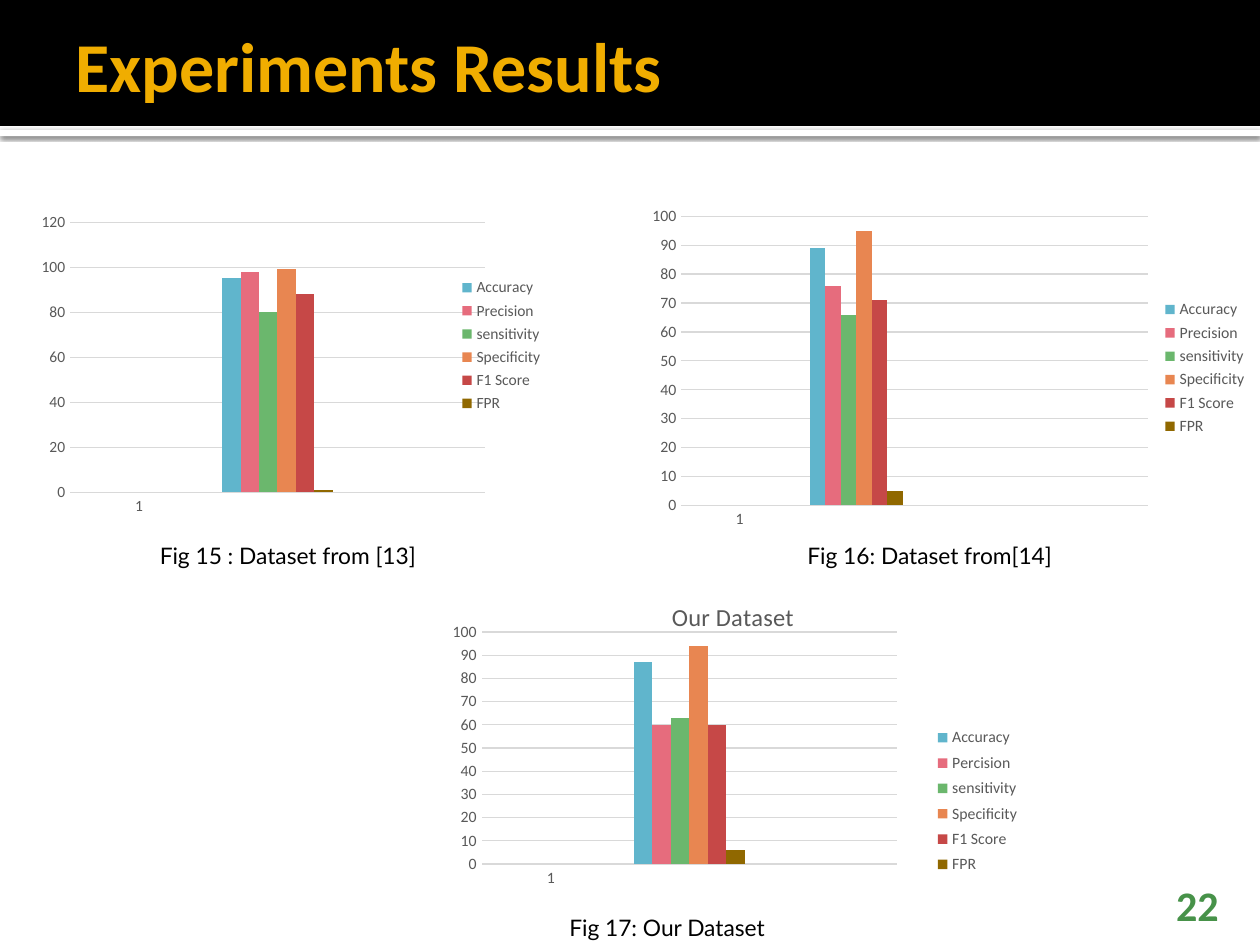
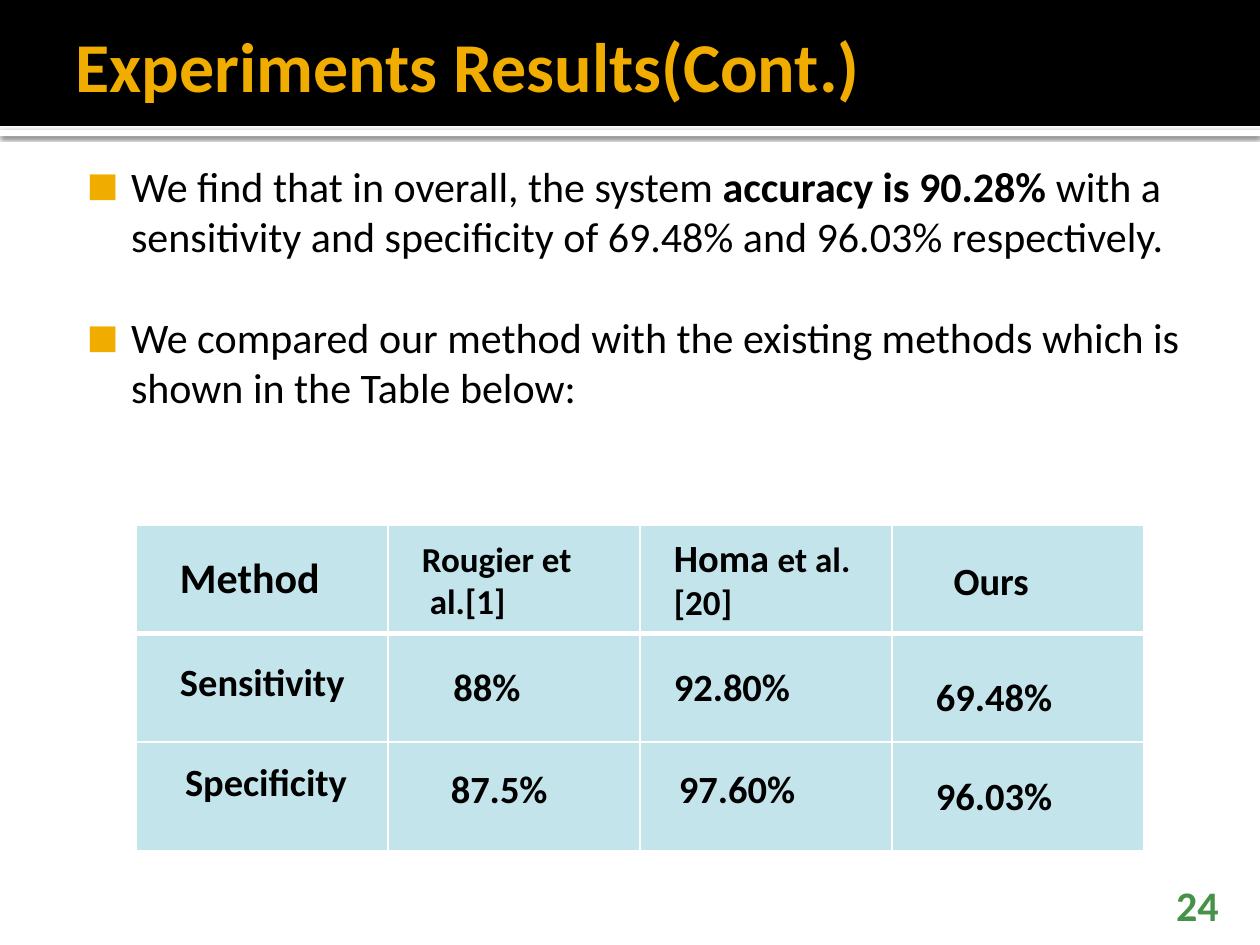
"""Build two slides of experiment results: three column charts and a comparison table."""
import pptx
import pptx.chart.data
import pptx.dml.color
import pptx.enum.chart
import pptx.enum.shapes
import pptx.enum.text
import pptx.oxml
import pptx.oxml.ns
import pptx.util

Inches = pptx.util.Inches
Pt = pptx.util.Pt
RGBColor = pptx.dml.color.RGBColor
qn = pptx.oxml.ns.qn
NAMESPACES = pptx.oxml.ns.nsdecls("a", "c")
ALIGN = pptx.enum.text.PP_ALIGN
ANCHOR = pptx.enum.text.MSO_ANCHOR

BLACK = RGBColor(0x00, 0x00, 0x00)
WHITE = RGBColor(0xFF, 0xFF, 0xFF)
GOLD = RGBColor(0xF0, 0xAD, 0x00)
GREEN = RGBColor(0x47, 0x92, 0x49)
AXIS_GRAY = RGBColor(0x59, 0x59, 0x59)
GRID_GRAY = RGBColor(0xD9, 0xD9, 0xD9)
CELL_BLUE = RGBColor(0xA0, 0xD3, 0xE0)
SERIES_COLORS = [
    RGBColor(0x60, 0xB5, 0xCC), RGBColor(0xE6, 0x6C, 0x7D), RGBColor(0x6B, 0xB7, 0x6D),
    RGBColor(0xE8, 0x86, 0x51), RGBColor(0xC6, 0x48, 0x47), RGBColor(0x90, 0x68, 0x00),
]


def write_runs(paragraph, runs, color, font="Calibri"):
    """Add (text, size, bold) runs to a paragraph."""
    for text, size, bold in runs:
        run = paragraph.add_run()
        run.text = text
        run.font.name = font
        run.font.size = Pt(size)
        run.font.bold = bold
        run.font.color.rgb = color


def set_chart_layout(element, index, target="", **fractions):
    """Place a chart part by fractions of the chart area."""
    for layout in element.findall(qn("c:layout")):
        element.remove(layout)
    modes = '<c:xMode val="edge"/><c:yMode val="edge"/>'
    values = "".join(f'<c:{name} val="{value}"/>' for name, value in fractions.items())
    element.insert(index, pptx.oxml.parse_xml(
        f"<c:layout {NAMESPACES}><c:manualLayout>{target}{modes}{values}"
        "</c:manualLayout></c:layout>"))


presentation = pptx.Presentation()
presentation.slide_width = Inches(10)
presentation.slide_height = Inches(7.5)
chart_slide = presentation.slides.add_slide(presentation.slide_layouts[5])
table_slide = presentation.slides.add_slide(presentation.slide_layouts[1])

master_tree = presentation.slide_master.shapes.element
for index, (top, height, color) in enumerate([(1.03, 0.05, WHITE), (0, 1, BLACK)]):
    band = chart_slide.shapes.add_shape(
        pptx.enum.shapes.MSO_SHAPE.RECTANGLE, 0, Inches(top), Inches(10), Inches(height))
    band.shadow.inherit = False
    band.fill.solid()
    band.fill.fore_color.rgb = color
    band.line.fill.background()
    if color == WHITE:
        band.element.spPr.find(qn("a:effectLst")).append(pptx.oxml.parse_xml(
            f'<a:outerShdw {NAMESPACES} blurRad="{Pt(2.5)}" dist="{Pt(0.8)}" dir="5400000">'
            '<a:srgbClr val="000000"><a:alpha val="60000"/></a:srgbClr></a:outerShdw>'))
    master_tree.insert(2 + index, band.element)

for slide, title_text, number in [
    (chart_slide, "Experiments Results", "22"),
    (table_slide, "Experiments Results(Cont.)", "24"),
]:
    title = slide.shapes.title
    title.left, title.top = Inches(0.5), Inches(0.08)
    title.width, title.height = Inches(9), Inches(0.87)
    frame = title.text_frame
    frame.auto_size = pptx.enum.text.MSO_AUTO_SIZE.NONE
    frame.vertical_anchor = ANCHOR.MIDDLE
    frame.margin_right = Inches(0.05)
    frame.paragraphs[0].alignment = ALIGN.LEFT
    write_runs(frame.paragraphs[0], [(title_text, 40, True)], GOLD)

    number_box = slide.shapes.add_textbox(Inches(8.97), Inches(7.08), Inches(0.8), Inches(0.3))
    frame = number_box.text_frame
    frame.word_wrap = True
    frame.vertical_anchor = ANCHOR.BOTTOM
    frame.margin_bottom = 0
    frame.paragraphs[0].alignment = ALIGN.RIGHT
    write_runs(frame.paragraphs[0], [(number, 24, True)], GREEN)

charts = []
for box, category_count, axis_max, axis_step, precision_name, values in [
    ((0.33, 1.42, 4.08, 2.67), 3, 120, 20, "Precision", (95, 98, 80, 99, 88, 1)),
    ((5.08, 1.59, 4.92, 2.66), 4, 100, 10, "Precision", (89, 76, 66, 95, 71, 5)),
    ((3.33, 4.57, 4.92, 2.63), 3, 100, 10, "Percision", (87, 60, 63, 94, 60, 6)),
]:
    chart_data = pptx.chart.data.CategoryChartData()
    chart_data.categories = ["1"] + [""] * (category_count - 1)
    names = ["Accuracy", precision_name, "sensitivity", "Specificity", "F1 Score", "FPR"]
    for name, value in zip(names, values):
        chart_data.add_series(name, [None, value] + [None] * (category_count - 2))
    chart = chart_slide.shapes.add_chart(
        pptx.enum.chart.XL_CHART_TYPE.COLUMN_CLUSTERED,
        *[Inches(length) for length in box], chart_data).chart
    charts.append(chart)
    chart.has_title = False
    chart.font.name = "Calibri"
    chart.font.size = Pt(9)
    chart.font.color.rgb = AXIS_GRAY
    chart.has_legend = True
    chart.legend.position = pptx.enum.chart.XL_LEGEND_POSITION.RIGHT
    chart.legend.include_in_layout = False
    chart.plots[0].gap_width = 150
    chart.plots[0].vary_by_categories = False
    for series, color in zip(chart.plots[0].series, SERIES_COLORS):
        series.format.fill.solid()
        series.format.fill.fore_color.rgb = color
    for axis in (chart.category_axis, chart.value_axis):
        axis.major_tick_mark = pptx.enum.chart.XL_TICK_MARK.NONE
        axis.minor_tick_mark = pptx.enum.chart.XL_TICK_MARK.NONE
        axis.format.line.fill.background()
    chart.value_axis.minimum_scale = 0
    chart.value_axis.maximum_scale = axis_max
    chart.value_axis.major_unit = axis_step
    gridline = chart.value_axis.major_gridlines.format.line
    gridline.color.rgb = GRID_GRAY
    gridline.width = Pt(0.75)

inner = '<c:layoutTarget val="inner"/>'
first_chart, own_chart = charts[0], charts[2]
set_chart_layout(first_chart.plots[0]._element.getparent(), 0, inner, x=0.04, y=0.13, w=0.82, h=0.81)
set_chart_layout(own_chart.plots[0]._element.getparent(), 0, inner, x=0.1, y=0.17, w=0.67, h=0.7)
set_chart_layout(own_chart.legend._element, 1, x=0.82, y=0.44, w=0.16, h=0.48)
own_chart.has_title = True
write_runs(own_chart.chart_title.text_frame.paragraphs[0], [("Our Dataset", 14, False)], AXIS_GRAY)
set_chart_layout(own_chart.chart_title._element, 1, x=0.4, y=0.06)

body = table_slide.placeholders[1]
body.left, body.top, body.width, body.height = Inches(0.5), Inches(1.17), Inches(9), Inches(6)
frame = body.text_frame
frame.auto_size = pptx.enum.text.MSO_AUTO_SIZE.NONE
frame.margin_left, frame.margin_top = Inches(0.06), Inches(0.1)
frame.margin_right, frame.margin_bottom = Inches(0.1), Inches(0.05)
findings = [
    [("We find that in overall, the system ", 24, False), ("accuracy is 90.28% ", 24, True),
     ("with a sensitivity and specificity of 69.48% and 96.03% respectively.", 24, False)],
    [("We compared our method with the existing methods which is shown in the Table below:",
      24, False)],
]
for index, runs in enumerate(findings):
    paragraph = frame.paragraphs[0] if index == 0 else frame.add_paragraph()
    paragraph.space_before = Pt(29 * index)
    write_runs(paragraph, runs, BLACK)
    properties = paragraph._p.get_or_add_pPr()
    properties.set("marL", str(Inches(0.48)))
    properties.set("indent", str(Inches(-0.35)))
    for bullet in (f'<a:buClr {NAMESPACES}><a:srgbClr val="{GOLD}"/></a:buClr>',
                   f'<a:buSzPct {NAMESPACES} val="80000"/>',
                   f'<a:buFont {NAMESPACES} typeface="Calibri"/>',
                   f'<a:buChar {NAMESPACES} char="■"/>'):
        properties.append(pptx.oxml.parse_xml(bullet))

table = table_slide.shapes.add_table(
    3, 4, Inches(1.08), Inches(4.17), Inches(8), Inches(2.58)).table
for row in range(3):
    for column in range(4):
        cell = table.cell(row, column)
        properties = cell._tc.get_or_add_tcPr()
        for side in "LRTB":
            under_header = (row, side) in [(0, "B"), (1, "T")]
            properties.append(pptx.oxml.parse_xml(
                f'<a:ln{side} {NAMESPACES} w="{Pt(3 if under_header else 1)}"><a:solidFill>'
                f'<a:srgbClr val="{WHITE}"/></a:solidFill></a:ln{side}>'))
        cell.fill.solid()
        cell.fill.fore_color.rgb = CELL_BLUE
        properties.find(qn("a:solidFill"))[0].append(
            pptx.oxml.parse_xml(f'<a:alpha {NAMESPACES} val="61000"/>'))

labels = [
    (chart_slide, "Lato", (1.17, 4.25, 3, 0.32), [[("Fig 15 : Dataset from [13]", 13, False)]]),
    (chart_slide, "Lato", (6.31, 4.25, 2.67, 0.32), [[("Fig 16: Dataset from[14]", 13, False)]]),
    (chart_slide, "Lato", (4.42, 7.2, 2.58, 0.32), [[("Fig 17: Our Dataset", 13, False)]]),
    (table_slide, "Calibri", (1.33, 4.33, 1.42, 0.5), [[("Method", 24, True)]]),
    (table_slide, "Calibri", (3.25, 4.22, 1.92, 0.77),
     [[("Rougier et", 20, True)], [(" al.[1]", 20, True)]]),
    (table_slide, "Calibri", (5.25, 4.19, 1.75, 0.81),
     [[("Homa ", 22, True), ("et al.[20]", 20, True)]]),
]
for text, left, top, width in [
    ("Ours", 7.47, 4.37, 1.5),
    ("Sensitivity", 1.33, 5.17, 1.58),
    ("88%", 3.5, 5.21, 0.8),
    ("92.80%", 5.25, 5.21, 1.67),
    ("69.48%", 7.33, 5.29, 1.5),
    ("Specificity", 1.37, 5.97, 1.58),
    ("87.5%", 3.48, 6.02, 1.5),
    ("97.60%", 5.29, 6.02, 1.59),
    ("96.03%", 7.33, 6.08, 1.5),
]:
    labels.append((table_slide, "Calibri", (left, top, width, 0.47), [[(text, 22, True)]]))

for slide, font, box, lines in labels:
    frame = slide.shapes.add_textbox(*[Inches(length) for length in box]).text_frame
    frame.word_wrap = True
    for index, runs in enumerate(lines):
        paragraph = frame.paragraphs[0] if index == 0 else frame.add_paragraph()
        write_runs(paragraph, runs, BLACK, font)

presentation.save("out.pptx")
